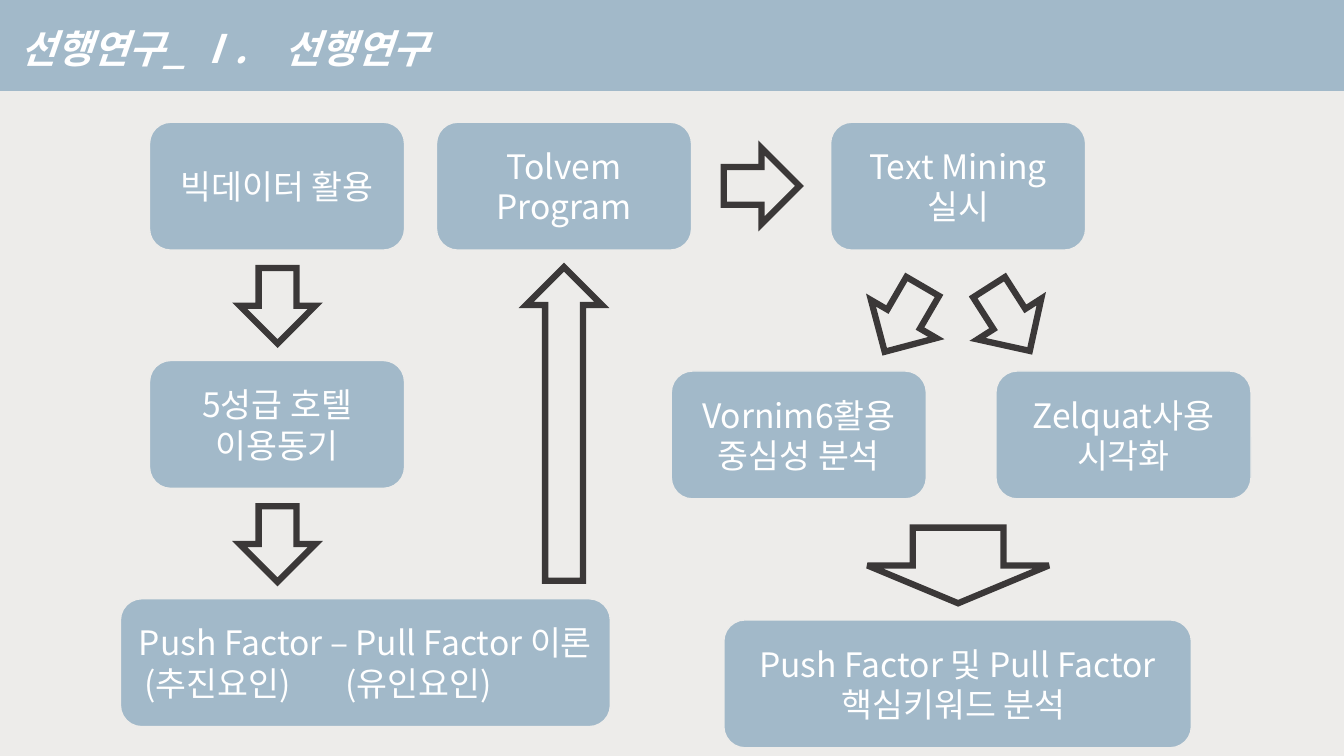
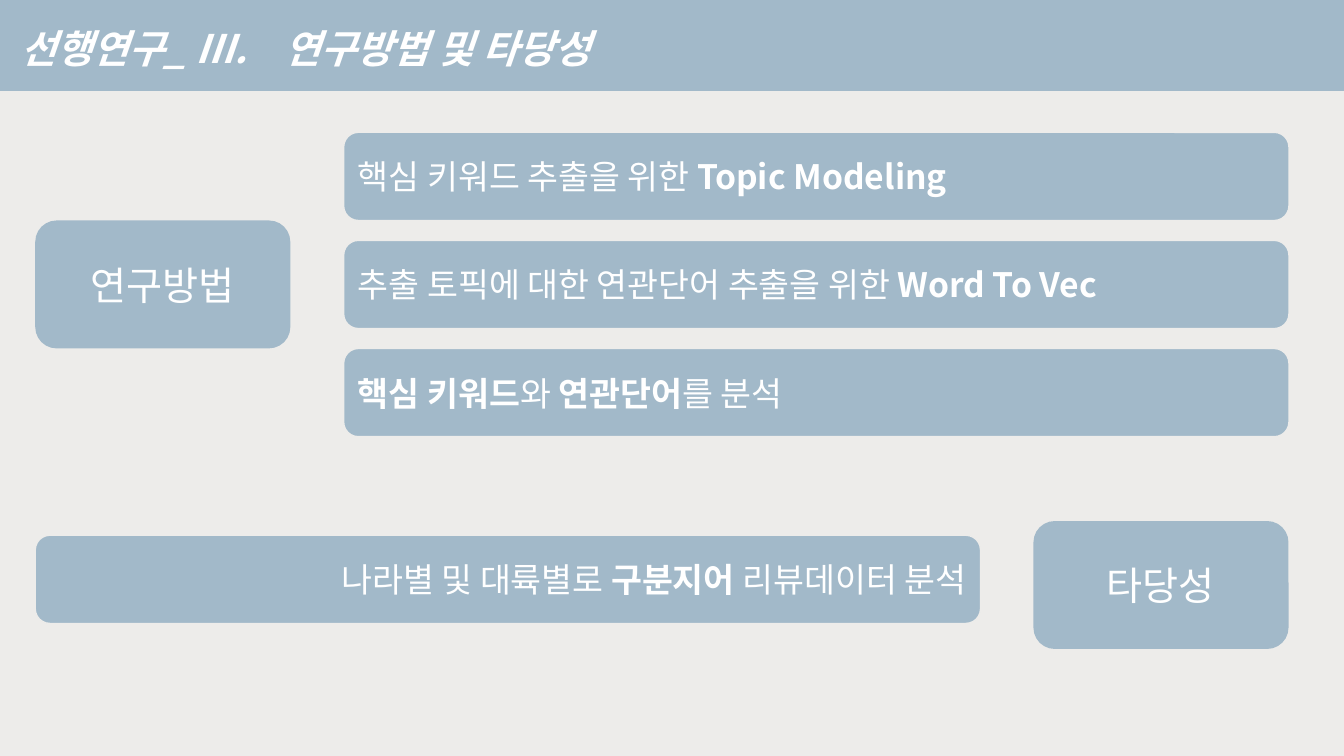
from dataclasses import dataclass

from lxml import etree
from pptx import Presentation
from pptx.dml.color import RGBColor
from pptx.enum.shapes import MSO_SHAPE
from pptx.enum.text import MSO_ANCHOR, MSO_AUTO_SIZE, PP_ALIGN
from pptx.oxml.ns import qn
from pptx.slide import Slide, SlideLayout
from pptx.text.text import _Paragraph
from pptx.util import Pt

ROUNDED = MSO_SHAPE.ROUNDED_RECTANGLE
RIGHT_ARROW = MSO_SHAPE.RIGHT_ARROW
LEFT, CENTER, RIGHT = PP_ALIGN.LEFT, PP_ALIGN.CENTER, PP_ALIGN.RIGHT
TOP = MSO_ANCHOR.TOP
NO_AUTOFIT = MSO_AUTO_SIZE.NONE
TITLE_ONLY = 5


@dataclass(frozen=True)
class Theme:
    paper: RGBColor = RGBColor.from_string("EDECEA")
    blue: RGBColor = RGBColor.from_string("A2B9C9")
    dark: RGBColor = RGBColor.from_string("3B3838")
    white: RGBColor = RGBColor.from_string("FFFFFF")
    font: str = "Noto Sans CJK KR"
    title_size: float = 28
    label_size: float = 28
    body_size: float = 24
    box_line: float = 1
    arrow_line: float = 4.5
    band_start: float = 0.88
    title_tab: float = 189


THEME = Theme()


@dataclass(frozen=True)
class Line:
    """One paragraph; parts between asterisks are bold."""
    text: str
    align: PP_ALIGN = CENTER
    tab: float = 0


@dataclass(frozen=True)
class Box:
    left: float
    top: float
    lines: tuple[Line, ...]
    width: float = 182.2
    height: float = 91.4
    size: float = THEME.body_size
    outlined: bool = True


@dataclass(frozen=True)
class Arrow:
    left: float
    top: float
    rotation: float = 0
    width: float = 54
    height: float = 54


# Text helpers
def add_tab(p: _Paragraph, position: float) -> None:
    tabs = etree.SubElement(p._p.get_or_add_pPr(), qn("a:tabLst"))
    etree.SubElement(tabs, qn("a:tab"), pos=str(Pt(position)), algn="l")


def format_runs(p: _Paragraph, size: float) -> None:
    for r in p.runs:
        r.font.size = Pt(size)
        r.font.color.rgb = THEME.white
        r.font.name = THEME.font
        etree.SubElement(r._r.get_or_add_rPr(), qn("a:ea"), typeface=THEME.font)


def write_line(p: _Paragraph, line: Line, size: float) -> None:
    p.alignment = line.align
    if line.tab:
        add_tab(p, line.tab)
    for i, part in enumerate(line.text.split("*")):
        if part:
            r = p.add_run()
            r.text = part
            r.font.bold = i % 2 == 1
    format_runs(p, size)


# Shapes
def draw_box(s: Slide, box: Box) -> None:
    sp = s.shapes.add_shape(ROUNDED, Pt(box.left), Pt(box.top),
                            Pt(box.width), Pt(box.height))
    sp.shadow.inherit = False
    sp.fill.solid()
    sp.fill.fore_color.rgb = THEME.blue
    if box.outlined:
        sp.line.color.rgb = THEME.paper
        sp.line.width = Pt(THEME.box_line)
    else:
        sp.line.fill.background()
    tf = sp.text_frame
    tf.word_wrap = True
    for i, line in enumerate(box.lines):
        p = tf.add_paragraph() if i else tf.paragraphs[0]
        write_line(p, line, box.size)


def draw_arrow(s: Slide, arrow: Arrow) -> None:
    sp = s.shapes.add_shape(RIGHT_ARROW, Pt(arrow.left), Pt(arrow.top),
                            Pt(arrow.width), Pt(arrow.height))
    sp.rotation = arrow.rotation
    sp.shadow.inherit = False
    sp.fill.solid()
    sp.fill.fore_color.rgb = THEME.paper
    sp.line.color.rgb = THEME.dark
    sp.line.width = Pt(THEME.arrow_line)
    etree.SubElement(sp.line._get_or_add_ln(), qn("a:miter"), lim="800000")


# Shared layout: paper with a blue band on top, and the title's place
def set_up_layout(layout: SlideLayout) -> None:
    fill = layout.slide_master.background.fill
    fill.gradient()
    fill.gradient_angle = 90
    for stop, color in zip(fill.gradient_stops, (THEME.paper, THEME.blue)):
        stop.position = THEME.band_start
        stop.color.rgb = color
    title = next(sp for sp in layout.placeholders
                 if sp.placeholder_format.idx == 0)
    title.left, title.top = Pt(7.2), Pt(13.7)
    title.width, title.height = Pt(535.7), Pt(41)
    tf = title.text_frame
    tf.vertical_anchor = TOP
    tf.auto_size = NO_AUTOFIT
    tf.word_wrap = True


def add_slide(prs: Presentation, title: str, boxes: list[Box],
              arrows: list[Arrow]) -> None:
    s = prs.slides.add_slide(prs.slide_layouts[TITLE_ONLY])
    p = s.shapes.title.text_frame.paragraphs[0]
    write_line(p, Line(f"*{title}*", LEFT, THEME.title_tab), THEME.title_size)
    for r in p.runs:
        r.font.italic = True
    for box in boxes:
        draw_box(s, box)
    for arrow in arrows:
        draw_arrow(s, arrow)


def centered(*texts: str) -> tuple[Line, ...]:
    return tuple(Line(text) for text in texts)


prs = Presentation()
prs.slide_width, prs.slide_height = Pt(960), Pt(540)
set_up_layout(prs.slide_layouts[TITLE_ONLY])

# Slide 1: research flow
ROW_TOP, ROW_STEP = 87.3, 170.2
COL_LEFT = 106.8
BRANCH_TOP = 265
DOWN_LEFT, DOWN_TOP = 171.2, 191.4
factors = (Line("Push Factor – Pull Factor 이론"),
           Line(" (추진요인)\t(유인요인)", LEFT, 149))
flow_boxes = [
    Box(COL_LEFT, ROW_TOP, centered("빅데이터 활용")),
    Box(COL_LEFT, ROW_TOP + ROW_STEP, centered("5성급 호텔", "이용동기")),
    Box(86, ROW_TOP + 2 * ROW_STEP, factors, width=350),
    Box(311.8, ROW_TOP, centered("Tolvem Program")),
    Box(593.3, ROW_TOP, centered("Text Mining", "실시")),
    Box(479.5, BRANCH_TOP, centered("Vornim6활용", "중심성 분석")),
    Box(711.4, BRANCH_TOP, centered("Zelquat사용", "시각화")),
    Box(517, 442.8, centered("Push Factor 및 Pull Factor", "핵심키워드 분석 "),
        width=334),
]
flow_arrows = [
    Arrow(DOWN_LEFT, DOWN_TOP, 90),
    Arrow(DOWN_LEFT, DOWN_TOP + ROW_STEP, 90),
    Arrow(290.9, 275.8, 270, width=224),
    Arrow(517, 105.8),
    Arrow(618.5, 200.9, 120.2),
    Arrow(694, 200.9, 57.4),
    Arrow(657.4, 339.1, 90, height=129.6),
]
add_slide(prs, "선행연구_ Ⅰ.\t선행연구", flow_boxes, flow_arrows)

# Slide 2: method and validity
BAR_WIDTH, BAR_HEIGHT = 675.2, 63
BAR_TOP, BAR_STEP = 94.5, 77.2
METHOD_LEFT, EDGE = 245.5, 25.2
methods = ["핵심 키워드 추출을 위한 *Topic Modeling*",
           "추출 토픽에 대한 연관단어 추출을 위한 *Word To Vec*",
           "*핵심 키워드*와 *연관단어*를 분석"]
method_boxes = [
    Box(METHOD_LEFT, BAR_TOP + i * BAR_STEP, (Line(text, LEFT),),
        BAR_WIDTH, BAR_HEIGHT)
    for i, text in enumerate(methods)
]
method_boxes += [
    Box(EDGE, 382.3, (Line("나라별 및 대륙별로 *구분지어* 리뷰데이터 분석", RIGHT),),
        BAR_WIDTH, BAR_HEIGHT),
    Box(EDGE, 157.5, centered("연구방법"), size=THEME.label_size, outlined=False),
    Box(738.2, 372.2, centered("타당성"), size=THEME.label_size, outlined=False),
]
add_slide(prs, "선행연구_ Ⅲ.\t연구방법 및 타당성", method_boxes, [])

prs.save("out.pptx")
